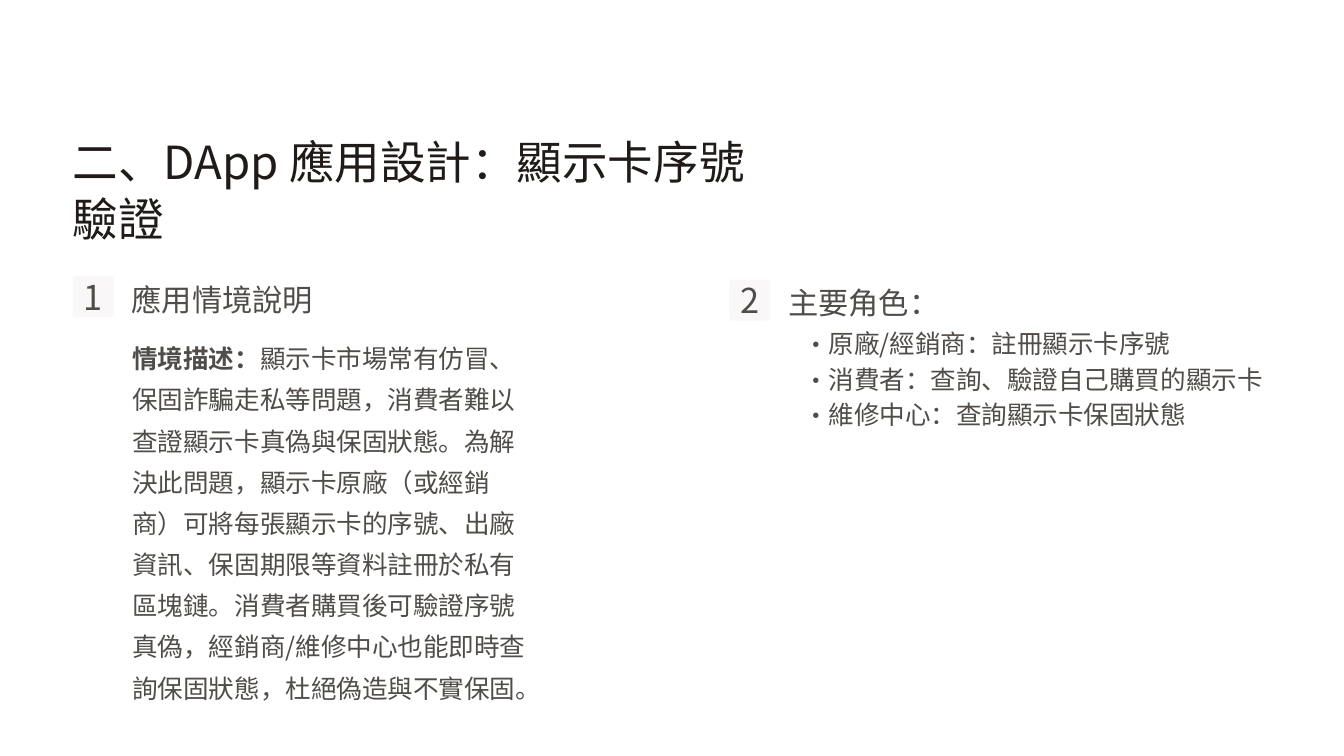
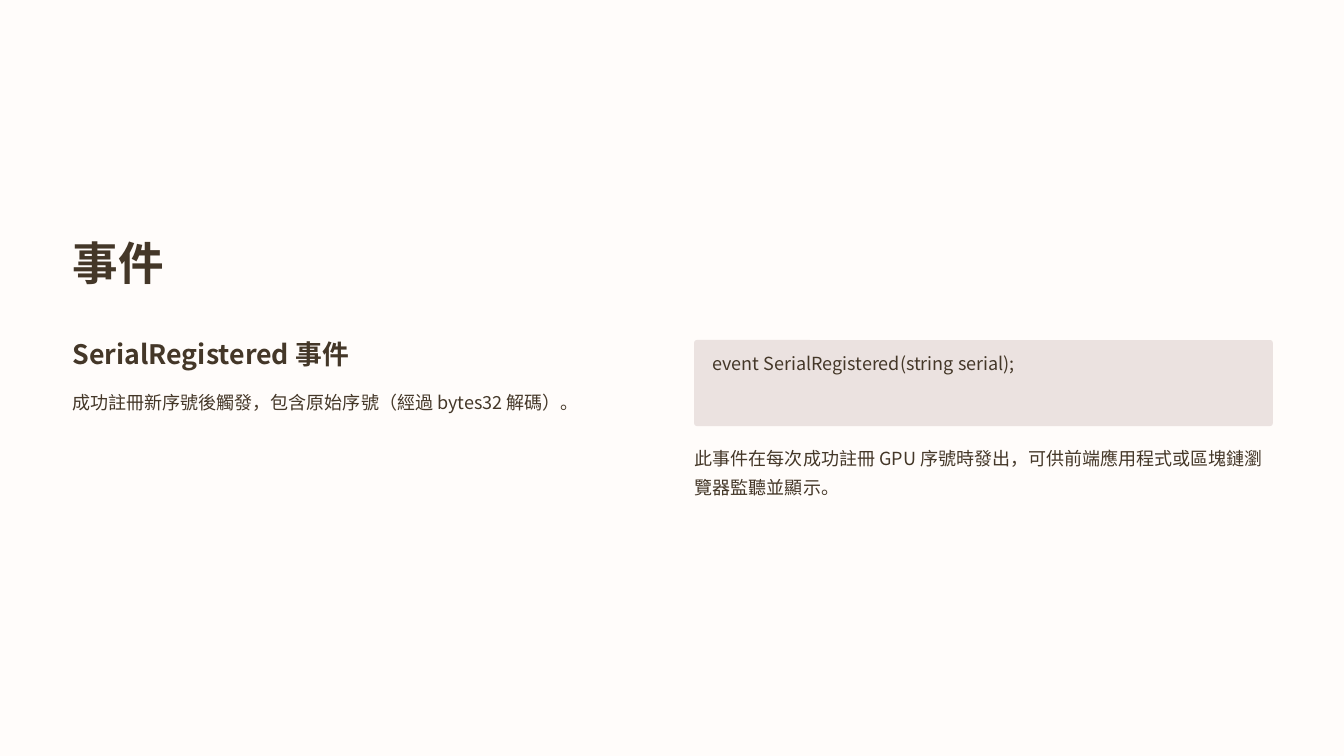
from pptx import Presentation
from pptx.dml.color import RGBColor
from pptx.enum import shapes, text
from pptx.oxml.ns import qn
from pptx.util import Inches, Pt
from lxml import etree

FONT = "Noto Sans CJK SC"
COLORS = {
    "title": "201B18", "body": "504C49", "badge": "F9F7F7",
    "brown": "443728", "cream": "FFFCFA", "code": "EBE2E0",
}
WIDTH, HEIGHT = 20, 11.25
LEFT = 1.08

# style: size, line spacing (points), colour, bold
STYLES = {
    "title": (48.8, 60.6, "title", False),
    "number": (36.7, 36.7, "body", False),
    "heading": (32.4, 39.8, "body", False),
    "body": (27.4, 44.1, "body", False),
    "event title": (48.8, 60.6, "brown", True),
    "event name": (28.7, 36.2, "brown", True),
    "event text": (19.3, 31.2, "brown", False),
}

DESIGN_TITLE = "二、DApp 應用設計：顯示卡序號驗證"
SECTIONS = [  # left, top, number, heading
    (LEFT, 4.11, "1", "應用情境說明"),
    (10.85, 4.16, "2", "主要角色："),
]
SCENARIO_LABEL = "情境描述："
SCENARIO = (
    "顯示卡市場常有仿冒、保固詐騙走私等問題，消費者難以查證顯示卡真偽與保固狀態。"
    "為解決此問題，顯示卡原廠（或經銷商）可將每張顯示卡的序號、出廠資訊、保固期限等"
    "資料註冊於私有區塊鏈。消費者購買後可驗證序號真偽，經銷商/維修中心也能即時查詢"
    "保固狀態，杜絕偽造與不實保固。"
)
ROLES = [
    "原廠/經銷商：註冊顯示卡序號",
    "消費者：查詢、驗證自己購買的顯示卡",
    "維修中心：查詢顯示卡保固狀態",
]
EVENT_TITLE = "事件"
EVENT_TEXTS = [  # style, box, text
    ("event name", (LEFT, 5, 7.16, 0.48), "SerialRegistered 事件"),
    ("event text", (LEFT, 5.71, 8.58, 0.4),
     "成功註冊新序號後觸發，包含原始序號（經過 bytes32 解碼）。"),
    ("event text", (10.6, 5.13, 8.07, 0.39), "event SerialRegistered(string serial);"),
    ("event text", (10.34, 6.55, 8.65, 0.83),
     "此事件在每次成功註冊 GPU 序號時發出，可供前端應用程式或區塊鏈瀏覽器監聽並顯示。"),
]
CODE_BOX = (10.33, 5.06, 8.61, 1.28)


def rgb(name):
    return RGBColor.from_string(COLORS[name])


def write(sp, style, *parts, align=text.PP_ALIGN.LEFT):
    """Fill a shape with one paragraph made of the given runs."""
    size, spacing, color, bold = STYLES[style]
    tf = sp.text_frame
    tf.word_wrap = True
    tf.auto_size = text.MSO_AUTO_SIZE.NONE
    tf.vertical_anchor = text.MSO_ANCHOR.TOP
    tf.margin_left = tf.margin_top = tf.margin_right = tf.margin_bottom = 0
    p = tf.paragraphs[0]
    p.alignment = align
    p.line_spacing = Pt(spacing)
    for part in parts:
        r = p.add_run()
        r.text = part
        r.font.size = Pt(size)
        r.font.bold = bold
        r.font.color.rgb = rgb(color)
        r.font.name = FONT
        etree.SubElement(r.font._element, qn("a:ea"), typeface=FONT)
    return p


def add_text(s, box, style, *parts, **options):
    sp = s.shapes.add_textbox(*map(Inches, box))
    return write(sp, style, *parts, **options)


def add_panel(s, box, color, radius=0):
    kind = shapes.MSO_SHAPE.ROUNDED_RECTANGLE if radius else shapes.MSO_SHAPE.RECTANGLE
    sp = s.shapes.add_shape(kind, *map(Inches, box))
    if radius:
        sp.adjustments[0] = radius / min(box[2:])
    sp.shadow.inherit = False
    sp.fill.solid()
    sp.fill.fore_color.rgb = rgb(color)
    sp.line.fill.background()
    return sp


def add_bullet(p):
    pPr = p._p.get_or_add_pPr()
    pPr.set("marL", str(Inches(0.45)))
    pPr.set("indent", str(Inches(-0.23)))
    etree.SubElement(pPr, qn("a:buFont"), typeface=FONT)
    etree.SubElement(pPr, qn("a:buChar"), char="•")


def add_slide(prs, title, style, box):
    s = prs.slides.add_slide(prs.slide_layouts[5])
    sp = s.shapes.title
    sp.left, sp.top, sp.width, sp.height = map(Inches, box)
    write(sp, style, title)
    return s


def build_design(prs):
    s = add_slide(prs, DESIGN_TITLE, "title", (LEFT, 1.97, 10.33, 1.66))
    for left, top, number, heading in SECTIONS:
        add_panel(s, (left, top, 0.61, 0.61), "badge", 0.04)
        add_text(s, (left + 0.1, top + 0.1, 0.41, 0.52), "number", number,
                 align=text.PP_ALIGN.CENTER)
        add_text(s, (left + 0.88, top + 0.06, 3.39, 0.53), "heading", heading)

    p = add_text(s, (1.97, 4.95, 5.9, 5.49), "body", SCENARIO_LABEL, SCENARIO)
    p.runs[0].font.bold = True

    for i, role in enumerate(ROLES):
        p = add_text(s, (11.73, 4.73 + i * 0.525, 8.2, 0.56), "body", role)
        p.level = 1
        add_bullet(p)


def build_event(prs):
    s = add_slide(prs, EVENT_TITLE, "event title", (LEFT, 3.47, 6.78, 0.81))
    backdrop = add_panel(s, (0, 0, WIDTH, HEIGHT), "cream")
    s.shapes.title._element.addprevious(backdrop._element)
    add_panel(s, CODE_BOX, "code", 0.04)
    for style, box, content in EVENT_TEXTS:
        add_text(s, box, style, content)


def main():
    prs = Presentation()
    prs.slide_width, prs.slide_height = Inches(WIDTH), Inches(HEIGHT)
    build_design(prs)
    build_event(prs)
    prs.save("out.pptx")


if __name__ == "__main__":
    main()
